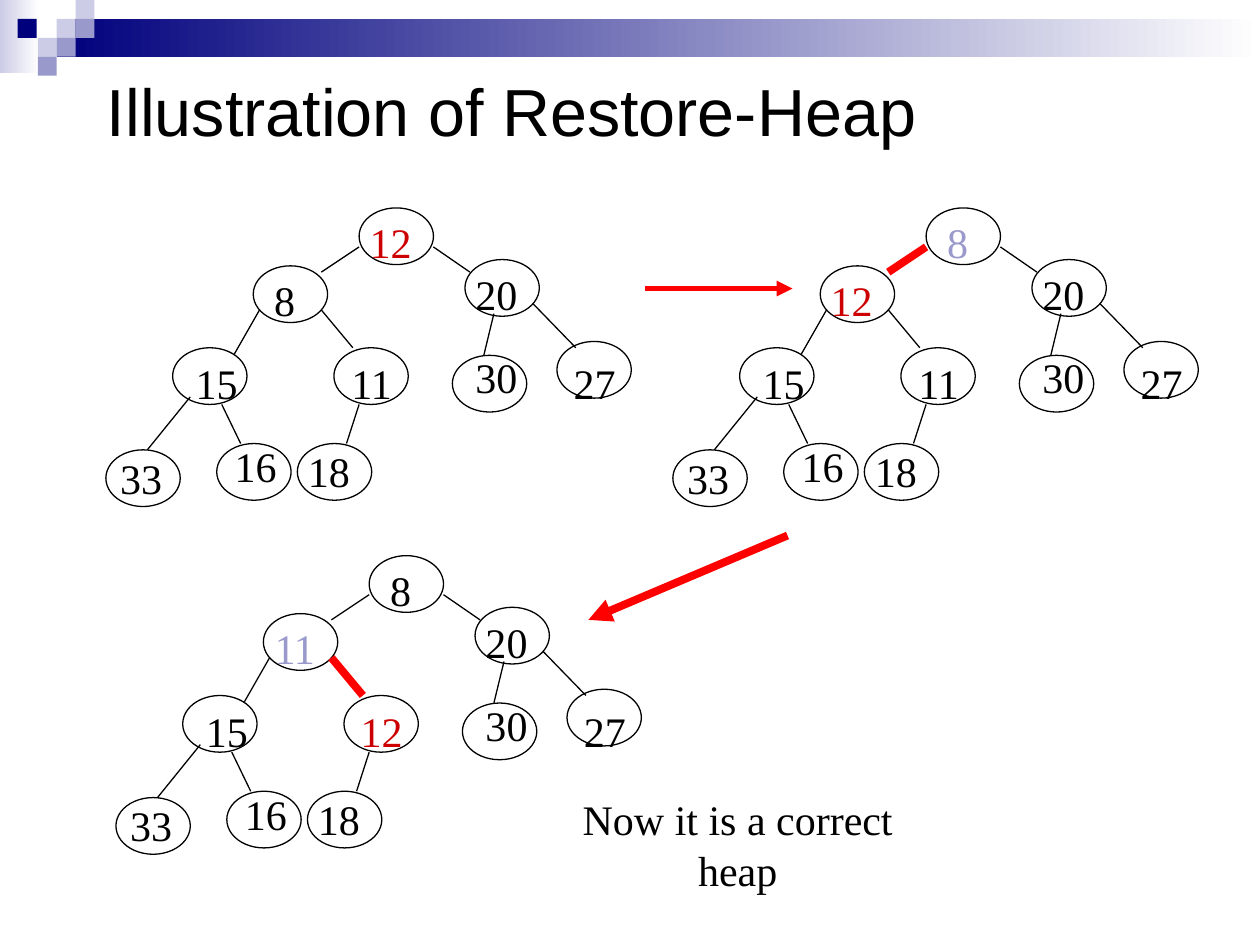
from pptx import Presentation
from pptx.dml.color import RGBColor
from pptx.enum.shapes import MSO_CONNECTOR as Connector, MSO_SHAPE as Shape
from pptx.enum.text import MSO_ANCHOR as Anchor, MSO_AUTO_SIZE as AutoSize, PP_ALIGN as Align
from pptx.oxml.ns import qn
from pptx.util import Inches, Pt
from lxml.etree import SubElement

BLACK = RGBColor(0x00, 0x00, 0x00)
WHITE = RGBColor(0xFF, 0xFF, 0xFF)
NAVY = RGBColor(0x00, 0x00, 0x7D)
LAVENDER = RGBColor(0x99, 0x99, 0xCC)
PALE = RGBColor(0xCC, 0xCC, 0xE6)
DARK_RED = RGBColor(0xCC, 0x00, 0x00)
RED = RGBColor(0xFF, 0x00, 0x00)

# One tree: each node has its ellipse corner and the centre and top of its label
NODES = {
    "root": (2.85, 1.65, 3.10, 1.67),
    "left": (2.01, 2.11, 2.26, 2.13),
    "right": (3.69, 2.06, 3.94, 2.08),
    "left.left": (1.37, 2.76, 1.72, 2.79),
    "left.right": (2.65, 2.76, 2.95, 2.79),
    "right.left": (3.59, 2.82, 3.94, 2.74),
    "right.right": (4.42, 2.71, 4.72, 2.79),
    "left.left.left": (0.84, 3.57, 1.12, 3.54),
    "left.left.right": (1.72, 3.52, 2.03, 3.45),
    "left.right.left": (2.36, 3.52, 2.61, 3.49),
}
# Each edge is keyed by its lower node
EDGES = {
    "left": (2.85, 1.96, 2.55, 2.16),
    "right": (3.44, 1.96, 3.73, 2.16),
    "left.left": (2.06, 2.46, 1.86, 2.81),
    "left.right": (2.55, 2.46, 2.80, 2.76),
    "right.left": (3.92, 2.49, 3.84, 2.82),
    "right.right": (4.23, 2.41, 4.57, 2.76),
    "left.left.left": (1.51, 3.15, 1.17, 3.57),
    "left.left.right": (1.76, 3.21, 1.91, 3.52),
    "left.right.left": (2.85, 3.21, 2.75, 3.52),
}
# Each step: offset of the tree, values in node order, label colours, swapped edge
STEPS = [
    (0, 0, (12, 8, 20, 15, 11, 30, 27, 33, 16, 18), {"root": DARK_RED}, None),
    (4.5, 0, (8, 12, 20, 15, 11, 30, 27, 33, 16, 18),
     {"root": LAVENDER, "left": DARK_RED}, "left"),
    (0.08, 2.76, (8, 11, 20, 15, 12, 30, 27, 33, 16, 18),
     {"left": LAVENDER, "left.right": DARK_RED}, "left.right"),
]
SQUARES = [
    (0.45, 0.15, PALE), (0.60, 0, PALE), (0.60, 0.15, LAVENDER),
    (0.30, 0.30, PALE), (0.14, 0.15, NAVY), (0.45, 0.30, LAVENDER),
    (0.30, 0.45, LAVENDER),
]


class HeapSlide:
    title_font = "Arial"
    body_font = "Times New Roman"
    body_size = 24
    node_width, node_height = 0.59, 0.45
    thin, bold = 0.75, 4.5

    def __init__(self, slide):
        self.shapes = slide.shapes

    def block(self, left, top, width, height, colour, fade=False):
        shape = self.shapes.add_shape(
            Shape.RECTANGLE, Inches(left), Inches(top), Inches(width), Inches(height))
        shape.shadow.inherit = False
        shape.line.fill.background()
        if fade:
            shape.fill.gradient()
            shape.fill.gradient_angle = 0
            for stop, stop_colour in zip(shape.fill.gradient_stops, (colour, WHITE)):
                stop.color.rgb = stop_colour
        else:
            shape.fill.solid()
            shape.fill.fore_color.rgb = colour

    def text(self, text, left, top, width, height, colour=BLACK):
        box = self.shapes.add_textbox(
            Inches(left), Inches(top), Inches(width), Inches(height))
        frame = box.text_frame
        frame.text = text
        frame.word_wrap = False
        frame.auto_size = AutoSize.SHAPE_TO_FIT_TEXT
        paragraph = frame.paragraphs[0]
        paragraph.alignment = Align.CENTER
        font = paragraph.runs[0].font
        font.name, font.size = self.body_font, Pt(self.body_size)
        font.color.rgb = colour
        return frame

    def title(self, text):
        frame = self.text(text, 0.75, 0.5, 8.5, 0.75)
        frame.word_wrap = True
        frame.auto_size = AutoSize.NONE
        frame.vertical_anchor = Anchor.MIDDLE
        paragraph = frame.paragraphs[0]
        paragraph.alignment = Align.LEFT
        font = paragraph.runs[0].font
        font.name, font.size = self.title_font, Pt(38)

    def node(self, left, top):
        shape = self.shapes.add_shape(
            Shape.OVAL, Inches(left), Inches(top),
            Inches(self.node_width), Inches(self.node_height))
        shape.shadow.inherit = False
        shape.fill.background()
        shape.line.color.rgb = BLACK
        shape.line.width = Pt(self.thin)

    def line(self, x1, y1, x2, y2, colour=BLACK, width=thin, arrow=False):
        connector = self.shapes.add_connector(
            Connector.STRAIGHT, Inches(x1), Inches(y1), Inches(x2), Inches(y2))
        connector.line.color.rgb = colour
        connector.line.width = Pt(width)
        if arrow:
            SubElement(connector.line._get_or_add_ln(), qn("a:tailEnd"), type="triangle")
        SubElement(connector._element.spPr, qn("a:effectLst"))

    def tree(self, dx, dy, values, colours, swapped):
        for left, top, _, _ in NODES.values():
            self.node(left + dx, top + dy)
        for name, (x1, y1, x2, y2) in EDGES.items():
            style = (RED, self.bold) if name == swapped else (BLACK, self.thin)
            self.line(x1 + dx, y1 + dy, x2 + dx, y2 + dy, *style)
        for (name, (_, _, centre, top)), value in zip(NODES.items(), values):
            width = 0.37 if value < 10 else 0.53
            self.text(str(value), centre - width / 2 + dx, top + dy, width, 0.5,
                      colours.get(name, BLACK))


def main():
    presentation = Presentation()
    presentation.slide_width, presentation.slide_height = Inches(10), Inches(7.5)
    slide = HeapSlide(presentation.slides.add_slide(presentation.slide_layouts[6]))

    # Header band and squares
    slide.block(0, 0, 0.31, 0.58, PALE, fade=True)
    slide.block(0.45, 0.15, 9.55, 0.3, NAVY, fade=True)
    for left, top, colour in SQUARES:
        slide.block(left, top, 0.15, 0.15, colour)
    slide.title("Illustration of Restore-Heap")

    # Heap after each step
    for step in STEPS:
        slide.tree(*step)

    # Arrows between steps and the closing remark
    slide.line(5.12, 2.29, 6.29, 2.29, RED, 3, arrow=True)
    slide.line(6.25, 4.25, 4.67, 4.92, RED, slide.bold, arrow=True)
    slide.text("Now it is a correct heap", 4.17, 6.25, 3.37, 0.5)

    presentation.save("out.pptx")


if __name__ == "__main__":
    main()
